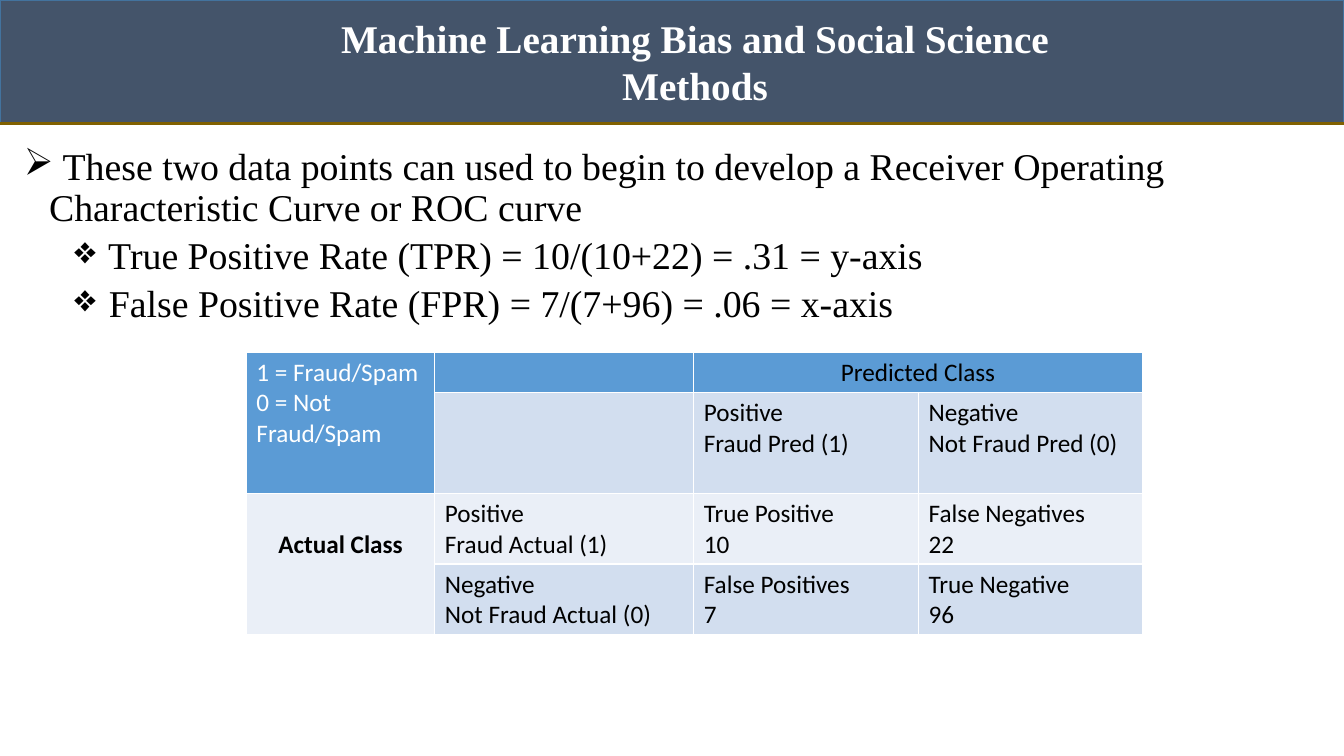
from lxml import etree
from pptx import Presentation
from pptx.dml.color import RGBColor
from pptx.enum.shapes import MSO_CONNECTOR, MSO_SHAPE
from pptx.enum.text import MSO_ANCHOR, PP_ALIGN
from pptx.oxml.ns import qn
from pptx.util import Pt

LEFT, CENTER = PP_ALIGN.LEFT, PP_ALIGN.CENTER
TOP, MIDDLE = MSO_ANCHOR.TOP, MSO_ANCHOR.MIDDLE
RECTANGLE, STRAIGHT = MSO_SHAPE.RECTANGLE, MSO_CONNECTOR.STRAIGHT

# Content
COLORS = {
    "band": "44546A", "band_edge": "43739E", "rule": "806000",
    "header": "5B9BD5", "dark_row": "D2DEEF", "light_row": "EAEFF7",
    "white": "FFFFFF", "black": "000000",
}
SERIF, SANS = "Times New Roman", "Calibri"
PAGE_WIDTH, PAGE_HEIGHT = 960, 540

TITLE = "Machine Learning Bias and Social Science Methods"

# level, text
POINTS = [
    (0, " These two data points can used to begin to develop a Receiver "
        "Operating Characteristic Curve or ROC curve"),
    (1, " True Positive Rate (TPR) = 10/(10+22) = .31 = y-axis"),
    (1, " False Positive Rate (FPR) = 7/(7+96) = .06 = x-axis"),
]
# bullet, left margin, space before
LEVELS = [("➢", 18, 10), ("❖", 54, 5)]

MATRIX = [
    [["1 = Fraud/Spam", "0 = Not Fraud/Spam"], [], ["Predicted Class"], []],
    [[], [], ["Positive", "Fraud Pred (1)"], ["Negative", "Not Fraud Pred (0)"]],
    [["Actual Class"], ["Positive", "Fraud Actual (1)"],
     ["True Positive", "10"], ["False Negatives", "22"]],
    [[], ["Negative", "Not Fraud Actual (0)"],
     ["False Positives", "7"], ["True Negative", "96"]],
]
ROW_FILLS = ["header", "dark_row", "light_row", "dark_row"]
MERGES = [((0, 0), (1, 0)), ((0, 2), (0, 3)), ((2, 0), (3, 0))]
COLUMN_WIDTHS = [134.6, 185, 160.6, 159.8]
ROW_HEIGHTS = [29, 71.5, 50.5, 50.5]
# cells that differ from left-aligned black text
CELL_FORMATS = {
    (0, 0): {"color": "white"},
    (0, 2): {"align": CENTER},
    (2, 0): {"align": CENTER, "bold": True},
}


def rgb(name):
    return RGBColor.from_string(COLORS[name])


def write(para, text, font=SANS, size=18, color="black", bold=False, align=LEFT):
    para.alignment = align
    span = para.add_run()
    span.text = text
    span.font.name = font
    span.font.size = Pt(size)
    span.font.bold = bold
    span.font.color.rgb = rgb(color)


def add_box(page, left, top, width, height, anchor):
    frame = page.shapes.add_textbox(Pt(left), Pt(top), Pt(width), Pt(height)).text_frame
    frame.word_wrap = True
    frame.vertical_anchor = anchor
    return frame


def paragraphs(frame, count):
    return [frame.paragraphs[0]] + [frame.add_paragraph() for _ in range(count - 1)]


def set_bullet(para, bullet, margin):
    properties = para._p.get_or_add_pPr()
    properties.set("marL", str(Pt(margin)))
    properties.set("indent", str(-Pt(18)))
    etree.SubElement(properties, qn("a:buChar")).set("char", bullet)


def set_borders(cell):
    properties = cell._tc.get_or_add_tcPr()
    for index, side in enumerate(("a:lnL", "a:lnR", "a:lnT", "a:lnB")):
        line = etree.Element(qn(side), w=str(Pt(1)))
        fill = etree.SubElement(line, qn("a:solidFill"))
        etree.SubElement(fill, qn("a:srgbClr")).set("val", COLORS["white"])
        properties.insert(index, line)


deck = Presentation()
deck.slide_width, deck.slide_height = Pt(PAGE_WIDTH), Pt(PAGE_HEIGHT)
page = deck.slides.add_slide(deck.slide_layouts[6])

# Title band with a rule below
band = page.shapes.add_shape(RECTANGLE, 0, 0, Pt(PAGE_WIDTH), Pt(88))
band.shadow.inherit = False
band.fill.solid()
band.fill.fore_color.rgb = rgb("band")
band.line.color.rgb = rgb("band_edge")
band.line.width = Pt(1)

rule = page.shapes.add_connector(STRAIGHT, 0, Pt(88.5), Pt(PAGE_WIDTH), Pt(88.5))
rule.line.color.rgb = rgb("rule")
rule.line.width = Pt(2)
etree.SubElement(rule._element.spPr, qn("a:effectLst"))

title = add_box(page, 230.4, 6.5, 532, 75, MIDDLE)
write(title.paragraphs[0], TITLE, font=SERIF, size=28, color="white",
      bold=True, align=CENTER)

# Bullet points
body = add_box(page, 10, 102.2, 926.6, 135.4, TOP)
for para, (level, text) in zip(paragraphs(body, len(POINTS)), POINTS):
    bullet, margin, space = LEVELS[level]
    para.level = level
    para.line_spacing = 0.9
    para.space_before = Pt(space)
    set_bullet(para, bullet, margin)
    write(para, text, font=SERIF, size=27)

# Confusion matrix
table = page.shapes.add_table(
    len(ROW_HEIGHTS), len(COLUMN_WIDTHS), Pt(176), Pt(251.4),
    Pt(sum(COLUMN_WIDTHS)), Pt(sum(ROW_HEIGHTS))).table
table.horz_banding = False
for column, width in zip(table.columns, COLUMN_WIDTHS):
    column.width = Pt(width)
for row, height in zip(table.rows, ROW_HEIGHTS):
    row.height = Pt(height)

for r, row in enumerate(MATRIX):
    for c, lines in enumerate(row):
        cell = table.cell(r, c)
        cell.fill.solid()
        cell.fill.fore_color.rgb = rgb(ROW_FILLS[r])
        set_borders(cell)
        if lines:
            for para, text in zip(paragraphs(cell.text_frame, len(lines)), lines):
                write(para, text, **CELL_FORMATS.get((r, c), {}))

for first, last in MERGES:
    table.cell(*first).merge(table.cell(*last))
# Level with the second text line of its row
table.cell(2, 0).margin_top = Pt(25.6)

deck.save("out.pptx")
